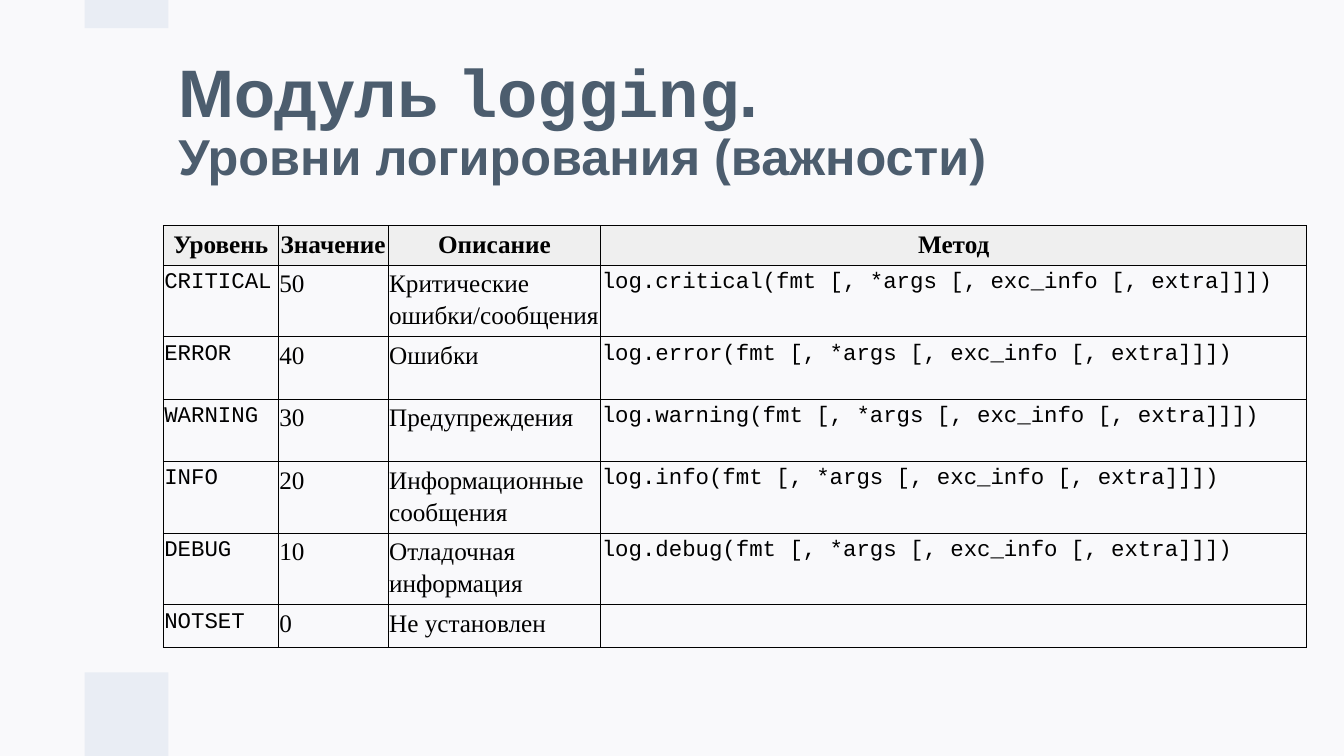
"""Build a slide that lists the severity levels of the logging module."""
from lxml import etree
from pptx import Presentation
from pptx.dml.color import RGBColor
from pptx.enum.shapes import MSO_SHAPE
from pptx.enum.text import MSO_ANCHOR, PP_ALIGN
from pptx.oxml.ns import qn
from pptx.util import Inches, Pt

RECTANGLE = MSO_SHAPE.RECTANGLE
MIDDLE = MSO_ANCHOR.MIDDLE
LEFT, CENTER = PP_ALIGN.LEFT, PP_ALIGN.CENTER

BACKGROUND = RGBColor(0xF9, 0xF9, 0xFB)
ACCENT = RGBColor(0xE9, 0xED, 0xF4)
TITLE = RGBColor(0x4C, 0x5D, 0x6E)
HEADER = RGBColor(0xEF, 0xEF, 0xEF)
BLACK = RGBColor(0, 0, 0)

SANS, SERIF, MONO = "Arial", "Times New Roman", "Courier New"

HEADINGS = ("Уровень", "Значение", "Описание", "Метод")
LEVELS = (
    ("CRITICAL", "50", "Критические ошибки/сообщения"),
    ("ERROR", "40", "Ошибки"),
    ("WARNING", "30", "Предупреждения"),
    ("INFO", "20", "Информационные сообщения"),
    ("DEBUG", "10", "Отладочная информация"),
    ("NOTSET", "0", "Не установлен"),
)
COLUMN_WIDTHS = (1.14, 1.09, 2.11, 7)
COLUMN_FONTS = ((MONO, 16), (SERIF, 18), (SERIF, 18), (MONO, 16))
ROW_HEIGHTS = (0.39, 0.63, 0.62, 0.62, 0.63, 0.63, 0.42)


def set_font(font, name, size, color, bold):
    """Set the typeface, size, colour and weight of a font."""
    font.name = name
    font.size = Pt(size)
    font.color.rgb = color
    font.bold = bold


def add_accent(page, top, height):
    """Add a pale block in the left margin."""
    block = page.shapes.add_shape(
        RECTANGLE, Inches(0.84), Inches(top), Inches(0.83), Inches(height))
    block.shadow.inherit = False
    block.fill.solid()
    block.fill.fore_color.rgb = ACCENT
    block.line.fill.background()


def add_title(page):
    """Add the two-line title with the module name in monospace."""
    box = page.shapes.add_textbox(
        Inches(1.67), Inches(0.39), Inches(10.79), Inches(1.65))
    frame = box.text_frame
    frame.word_wrap = True
    frame.vertical_anchor = MIDDLE
    lines = (
        (48, (("Модуль ", SANS), ("logging", MONO), (".", SANS))),
        (36, (("Уровни логирования (важности)", SANS),)),
    )
    for index, (size, spans) in enumerate(lines):
        para = frame.add_paragraph() if index else frame.paragraphs[0]
        para.line_spacing = 0.9
        set_font(para.font, SANS, size, TITLE, True)
        for text, name in spans:
            span = para.add_run()
            span.text = text
            set_font(span.font, name, size, TITLE, True)


def add_borders(cell):
    """Draw a thin black line on each side of a cell."""
    properties = cell._tc.get_or_add_tcPr()
    for side in ("a:lnL", "a:lnR", "a:lnT", "a:lnB"):
        line = etree.SubElement(properties, qn(side), w=str(Pt(0.75)))
        fill = etree.SubElement(line, qn("a:solidFill"))
        etree.SubElement(fill, qn("a:srgbClr"), val=str(BLACK))


def fill_cell(cell, text, name, size, is_header):
    """Write and format one table cell."""
    add_borders(cell)
    if is_header:
        cell.fill.solid()
        cell.fill.fore_color.rgb = HEADER
    else:
        cell.fill.background()
    cell.margin_left = cell.margin_right = Inches(0.01)
    cell.margin_top = cell.margin_bottom = Inches(0.01)
    cell.text = text
    para = cell.text_frame.paragraphs[0]
    para.alignment = CENTER if is_header else LEFT
    para.line_spacing = 1.15
    set_font(para.font, name, size, BLACK, is_header)


def method_call(level):
    """Return the signature of the method that logs at a level."""
    if level == "NOTSET":
        return ""
    return f"log.{level.lower()}(fmt [, *args [, exc_info [, extra]]])"


def add_levels_table(page):
    """Add the table of logging levels."""
    rows = [HEADINGS] + [level + (method_call(level[0]),) for level in LEVELS]
    table = page.shapes.add_table(
        len(rows), len(HEADINGS), Inches(1.62), Inches(2.24),
        Inches(sum(COLUMN_WIDTHS)), Inches(sum(ROW_HEIGHTS))).table
    table.horz_banding = False
    for column, width in zip(table.columns, COLUMN_WIDTHS):
        column.width = Inches(width)
    for row, height in zip(table.rows, ROW_HEIGHTS):
        row.height = Inches(height)
    for row_index, texts in enumerate(rows):
        is_header = row_index == 0
        for column_index, text in enumerate(texts):
            name, size = (SERIF, 18) if is_header else COLUMN_FONTS[column_index]
            fill_cell(table.cell(row_index, column_index),
                      text, name, size, is_header)


def main():
    """Build and save the deck."""
    deck = Presentation()
    deck.slide_width, deck.slide_height = Inches(13.33), Inches(7.5)
    page = deck.slides.add_slide(deck.slide_layouts[6])
    page.background.fill.solid()
    page.background.fill.fore_color.rgb = BACKGROUND
    add_accent(page, 0, 0.28)
    add_accent(page, 6.67, 0.83)
    add_title(page)
    add_levels_table(page)
    deck.save("out.pptx")


if __name__ == "__main__":
    main()
